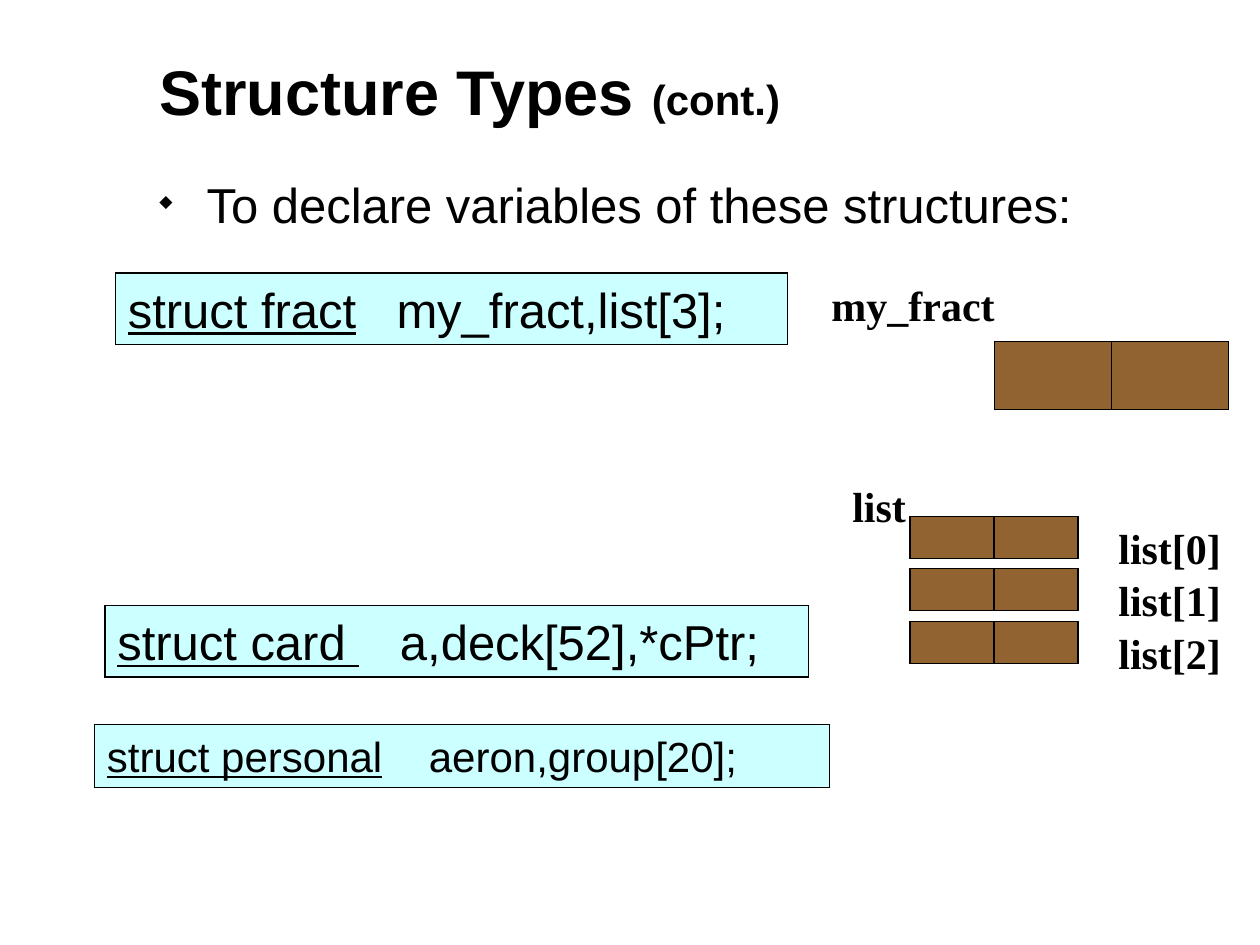
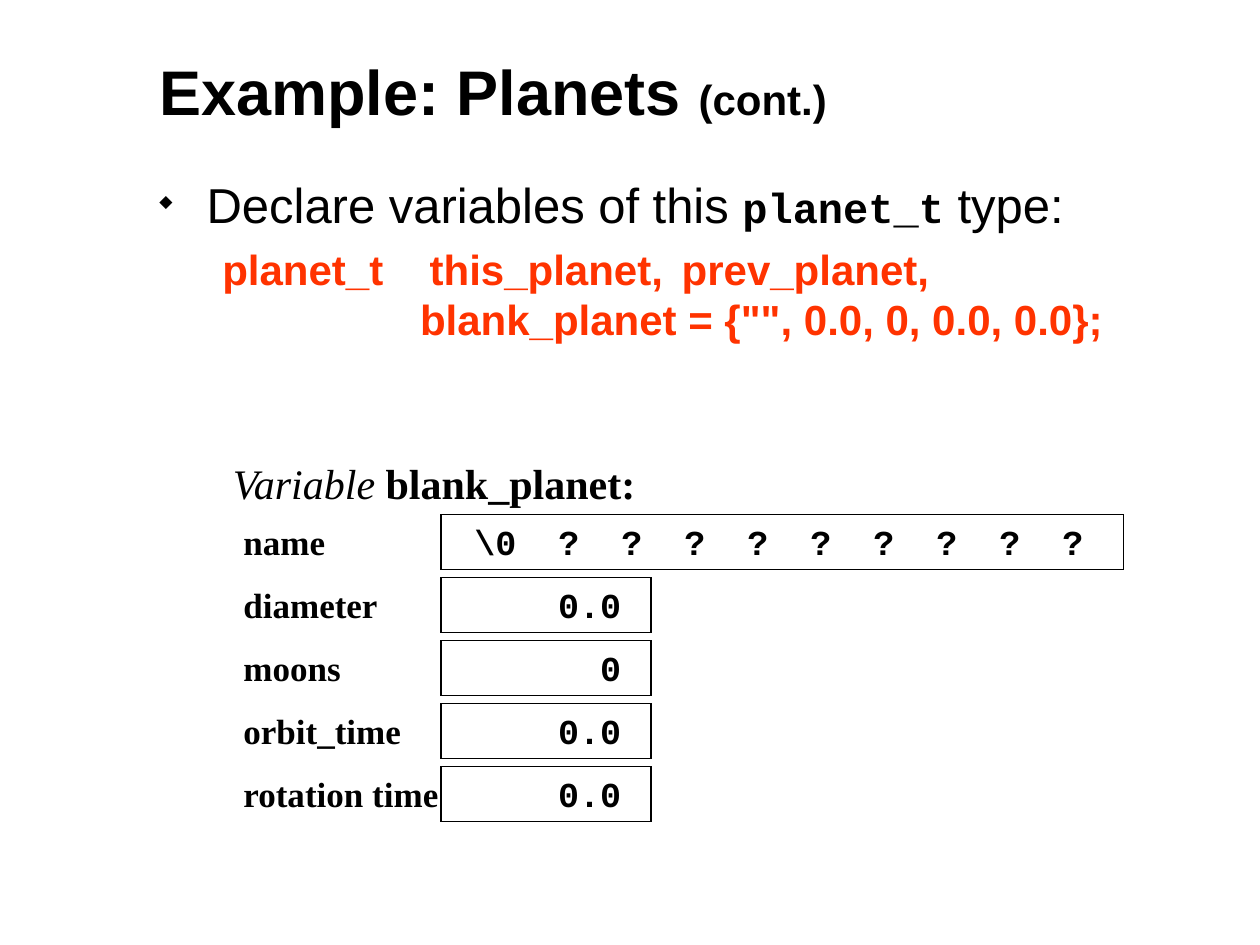
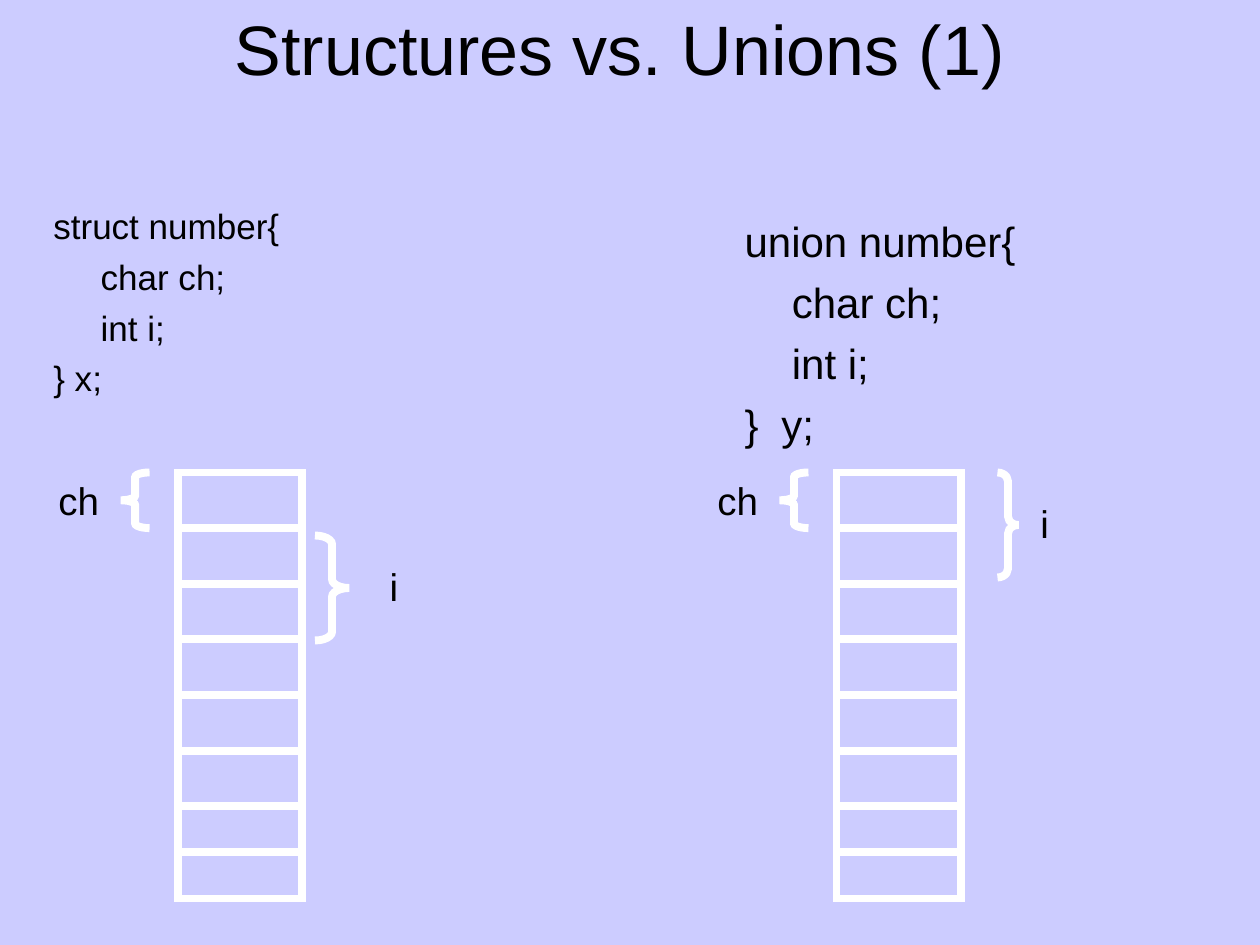
"""Build three slides on structure types, a planet example, and structures versus unions."""
from dataclasses import dataclass
from typing import Optional

from lxml.etree import SubElement
from pptx import Presentation
from pptx.dml.color import RGBColor
from pptx.enum.shapes import MSO_CONNECTOR as Connector, MSO_SHAPE as Preset
from pptx.enum.text import MSO_ANCHOR as Anchor, PP_ALIGN as Align
from pptx.oxml.ns import qn
from pptx.presentation import Presentation as Deck
from pptx.shapes.base import BaseShape
from pptx.slide import Slide
from pptx.util import Pt


@dataclass(frozen=True)
class Theme:
    black: str = "000000"
    white: str = "FFFFFF"
    lilac: str = "CCCCFF"
    cyan: str = "CCFFFF"
    brown: str = "916331"
    red: str = "FF3300"
    sans: str = "Arial"
    serif: str = "Times New Roman"
    mono: str = "Courier New"
    banner: float = 40
    title: float = 36
    body: float = 28
    label: float = 24
    memory: float = 22
    small: float = 20
    thin: float = 0.75
    thick: float = 4.5


THEME = Theme()


@dataclass(frozen=True)
class Box:
    left: float
    top: float
    width: float
    height: float

    def lengths(self) -> tuple:
        return Pt(self.left), Pt(self.top), Pt(self.width), Pt(self.height)


@dataclass(frozen=True)
class Span:
    text: str
    size: Optional[float] = None
    font: Optional[str] = None
    bold: Optional[bool] = None
    italic: Optional[bool] = None
    underline: Optional[bool] = None


@dataclass(frozen=True)
class Line:
    spans: tuple
    size: float
    font: str = THEME.sans
    color: str = THEME.black
    bold: bool = False
    before: float = 0
    margin: float = 0
    indent: float = 0
    bullet: str = ""
    align: Align = Align.LEFT


@dataclass(frozen=True)
class Frame:
    inset: tuple = (7.2, 3.6, 7.2, 3.6)
    anchor: Anchor = Anchor.TOP
    wrap: bool = True


@dataclass(frozen=True)
class Declaration:
    box: Box
    keyword: str
    variables: str
    size: float
    gap_end: float


@dataclass(frozen=True)
class Member:
    name: str
    value: str
    width: float = 120
    align: Align = Align.RIGHT
    margin: float = 0
    indent: float = 0


@dataclass(frozen=True)
class MemoryPanel:
    offset: float
    code: Box
    code_size: float
    code_before: float
    opening: str
    closing: str
    int_brace: Box
    int_label: Box


PLAIN = Frame()
TIGHT = Frame(inset=(6.5, 3, 6.5, 3))
CENTERED = Frame(inset=(0, 3, 0, 3), anchor=Anchor.MIDDLE, wrap=False)
VALUE = Frame(inset=(7.2, 3.6, 17, 3.6))


def rgb(color: str) -> RGBColor:
    return RGBColor.from_string(color)


def add_slide(deck: Deck, background: str) -> Slide:
    slide = deck.slides.add_slide(deck.slide_layouts[6])
    slide.background.fill.solid()
    slide.background.fill.fore_color.rgb = rgb(background)
    return slide


def write(shape: BaseShape, lines: list[Line], frame: Frame = PLAIN) -> None:
    text_frame = shape.text_frame
    text_frame.word_wrap = frame.wrap
    text_frame.vertical_anchor = frame.anchor
    (text_frame.margin_left, text_frame.margin_top,
     text_frame.margin_right, text_frame.margin_bottom) = map(Pt, frame.inset)
    for index, line in enumerate(lines):
        paragraph = text_frame.add_paragraph() if index else text_frame.paragraphs[0]
        paragraph.alignment = line.align
        paragraph.space_before = Pt(line.before)
        properties = paragraph._p.get_or_add_pPr()
        properties.set("marL", str(Pt(line.margin)))
        properties.set("indent", str(Pt(line.indent)))
        if line.bullet:
            SubElement(properties, qn("a:buSzPct"), val="35000")
            SubElement(properties, qn("a:buChar"), char=line.bullet)
        font = paragraph.font
        font.name, font.size, font.bold = line.font, Pt(line.size), line.bold
        font.color.rgb = rgb(line.color)
        for span in line.spans:
            run = paragraph.add_run()
            run.text = span.text
            if span.size:
                run.font.size = Pt(span.size)
            if span.font:
                run.font.name = span.font
            for name in ("bold", "italic", "underline"):
                if getattr(span, name) is not None:
                    setattr(run.font, name, getattr(span, name))


def add_text(slide: Slide, box: Box, lines: list[Line], frame: Frame = PLAIN) -> None:
    write(slide.shapes.add_textbox(*box.lengths()), lines, frame)


def add_outline(slide: Slide, box: Box, fill: str = "", line: str = THEME.black,
                weight: float = THEME.thin, preset: Preset = Preset.RECTANGLE) -> BaseShape:
    shape = slide.shapes.add_shape(preset, *box.lengths())
    shape.shadow.inherit = False
    if fill:
        shape.fill.solid()
        shape.fill.fore_color.rgb = rgb(fill)
    else:
        shape.fill.background()
    shape.line.color.rgb = rgb(line)
    shape.line.width = Pt(weight)
    SubElement(shape._element.spPr.find(qn("a:ln")), qn("a:miter"), lim="800000")
    return shape


def add_title(slide: Slide, title: str) -> None:
    spans = (Span(f"{title} "), Span("(cont.)", size=THEME.label))
    add_text(slide, Box(84, 26.5, 588, 50.5), [Line(spans, THEME.title, bold=True)],
             Frame(anchor=Anchor.MIDDLE))


def bullet_line(*spans: Span) -> Line:
    return Line(spans, THEME.body, before=7, margin=27, indent=-27, bullet="◆")


def serif_line(*spans: Span, size: float = THEME.label, bold: bool = True) -> Line:
    return Line(spans, size, THEME.serif, bold=bold)


def add_cells(slide: Slide, first: Box, columns: int = 2) -> None:
    for column in range(columns):
        add_outline(slide, Box(first.left + column * first.width, first.top,
                               first.width, first.height), THEME.brown)


def build_structure_types(deck: Deck) -> None:
    slide = add_slide(deck, THEME.white)
    add_title(slide, "Structure Types")
    add_text(slide, Box(84, 96, 606, 396),
             [bullet_line(Span("To declare variables of these structures:"))])
    declarations = (
        Declaration(Box(66, 156, 384, 41), "struct fract", "my_fract,list[3];", THEME.body, 153.5),
        Declaration(Box(60, 346, 402, 41), "struct card ", "a,deck[52],*cPtr;", THEME.body, 161.5),
        Declaration(Box(54, 414, 420, 36), "struct personal", "aeron,group[20];", THEME.label, 184),
    )
    for item in declarations:
        spans = (Span(item.keyword, underline=True), Span(f"\t{item.variables}"))
        write(add_outline(slide, item.box, THEME.cyan),
              [Line(spans, item.size, margin=item.gap_end, indent=-item.gap_end)])

    add_cells(slide, Box(568.2, 195, 67, 39))
    add_text(slide, Box(468, 156, 167, 36), [serif_line(Span("my_fract"))])
    add_text(slide, Box(480, 271, 88, 36), [serif_line(Span("list"))])
    for index in range(3):
        top = 295 + 30 * index
        add_cells(slide, Box(520, top, 48, 24))
        add_text(slide, Box(632, top, 88, 36), [serif_line(Span(f"list[{index}]"))])


def build_planets(deck: Deck) -> None:
    slide = add_slide(deck, THEME.white)
    add_title(slide, "Example: Planets")
    code = {"size": THEME.label, "color": THEME.red, "bold": True}
    add_text(slide, Box(84, 96, 618, 396), [
        bullet_line(Span("Declare variables of this "),
                    Span("planet_t", THEME.label, THEME.mono, bold=True), Span(" type:")),
        Line((Span("planet_t\tthis_planet,\tprev_planet,"),),
             before=6, margin=154.5, indent=-118.5, **code),
        Line((Span('blank_planet = {"", 0.0, 0, 0.0, 0.0};'),), margin=149, **code),
    ])
    add_text(slide, Box(126, 258, 252, 36), [serif_line(
        Span("Variable", italic=True), Span(" blank_planet:", bold=True), bold=False)])
    characters = "\t".join(["\\0"] + ["?"] * 9)
    members = (
        Member("name", characters, 390, Align.LEFT, margin=24, indent=-12),
        Member("diameter", "0.0"),
        Member("moons", "0"),
        Member("orbit_time", "0.0"),
        Member("rotation time", "0.0"),
    )
    for index, member in enumerate(members):
        top = 294 + 36 * index
        cell = add_outline(slide, Box(252, top, member.width, 31.5))
        write(cell, [Line((Span(member.value),), THEME.small, THEME.mono, bold=True,
                          align=member.align, margin=member.margin,
                          indent=member.indent)], VALUE)
        add_text(slide, Box(132, top, 150, 31.5),
                 [serif_line(Span(member.name), size=THEME.small)])


def add_rule(slide: Slide, left: float, right: float, top: float) -> None:
    rule = slide.shapes.add_connector(Connector.STRAIGHT, Pt(left), Pt(top), Pt(right), Pt(top))
    rule.line.color.rgb = rgb(THEME.white)
    rule.line.width = Pt(THEME.thick)
    SubElement(rule._element.spPr, qn("a:effectLst"))


def add_brace(slide: Slide, box: Box, preset: Preset) -> None:
    brace = add_outline(slide, box, line=THEME.white, weight=THEME.thick, preset=preset)
    brace.adjustments[0] = box.height / 12 / min(box.width, box.height)


def add_memory_label(slide: Slide, box: Box, text: str) -> None:
    add_text(slide, box, [Line((Span(text),), THEME.memory, align=Align.CENTER)], CENTERED)


def add_memory_panel(slide: Slide, panel: MemoryPanel) -> None:
    rows = ((panel.opening, 0, 0), ("char ch;", 27, 0), ("int i;", 27, 0),
            (panel.closing, 21, -21))
    add_text(slide, panel.code, [
        Line((Span(text),), panel.code_size, before=panel.code_before,
             margin=margin, indent=indent)
        for text, margin, indent in rows], TIGHT)
    memory = Box(panel.offset + 101.5, 270, 71, 243.5)
    add_outline(slide, memory, line=THEME.white, weight=THEME.thick)
    for top in (*(memory.top + 31.8 * row for row in range(1, 7)), 487):
        add_rule(slide, memory.left, memory.left + memory.width, top)
    add_brace(slide, Box(panel.offset + 69, 270, 16.5, 31.8), Preset.LEFT_BRACE)
    add_brace(slide, panel.int_brace, Preset.RIGHT_BRACE)
    add_memory_label(slide, Box(panel.offset + 27, 269.5, 36, 33), "ch")
    add_memory_label(slide, panel.int_label, "i")


def build_unions(deck: Deck) -> None:
    slide = add_slide(deck, THEME.lilac)
    add_text(slide, Box(36, 0, 636, 78),
             [Line((Span("Structures vs. Unions (1)"),), THEME.banner, align=Align.CENTER)], TIGHT)
    panels = (
        MemoryPanel(0, Box(24, 114, 301, 127), THEME.small, 5, "struct number{", "} x;",
                    Box(180, 306, 19.5, 60), Box(216, 318.5, 18, 33)),
        MemoryPanel(376.5, Box(419, 120, 301, 145), THEME.label, 6, "union number{", "}\ty;",
                    Box(570, 270, 12, 60), Box(588, 282.5, 18, 33)),
    )
    for panel in panels:
        add_memory_panel(slide, panel)


def main() -> None:
    deck = Presentation()
    deck.slide_width, deck.slide_height = Pt(720), Pt(540)
    build_structure_types(deck)
    build_planets(deck)
    build_unions(deck)
    deck.save("out.pptx")


if __name__ == "__main__":
    main()
